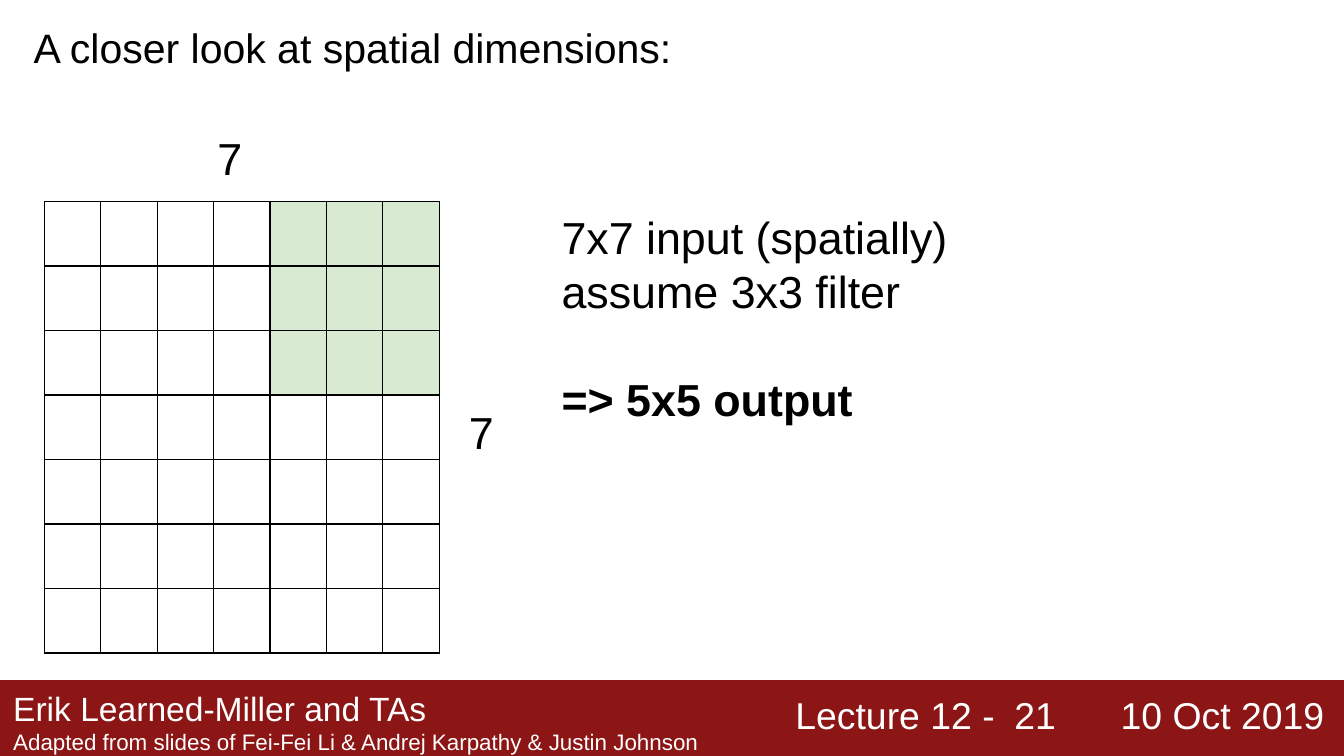
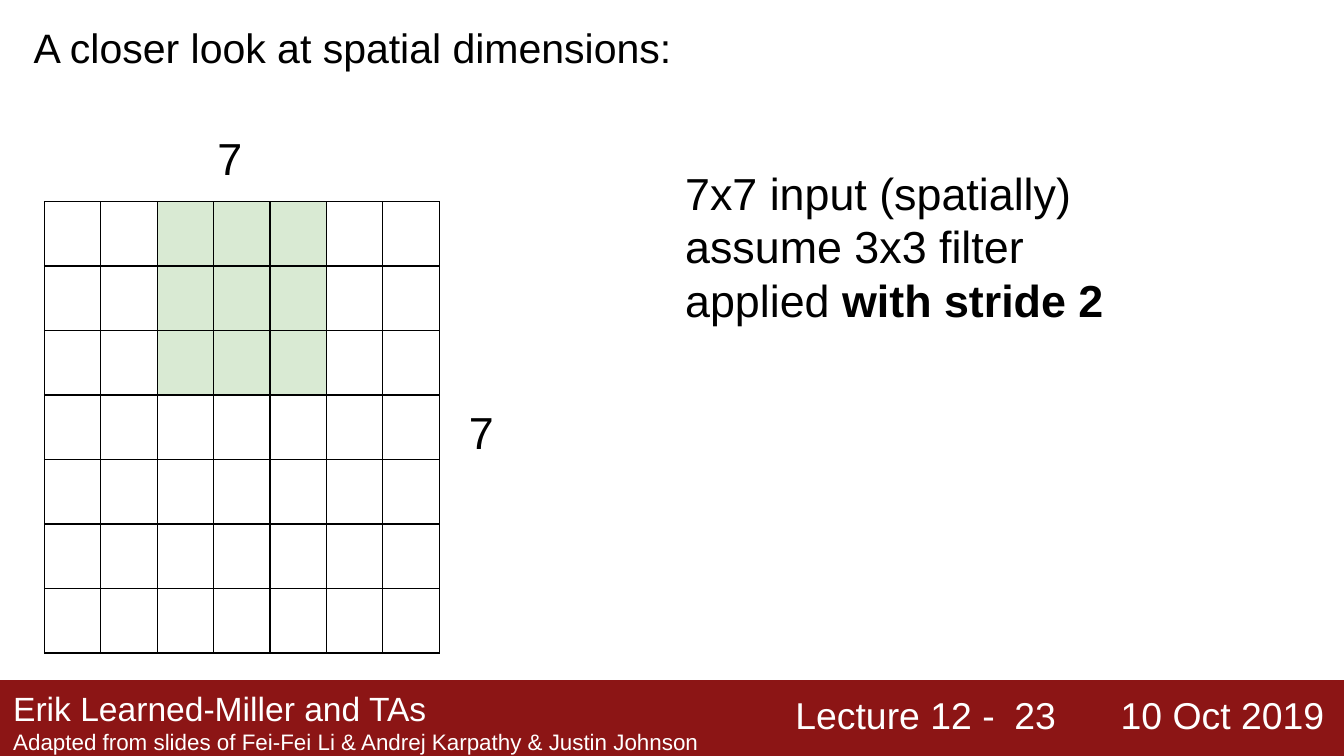
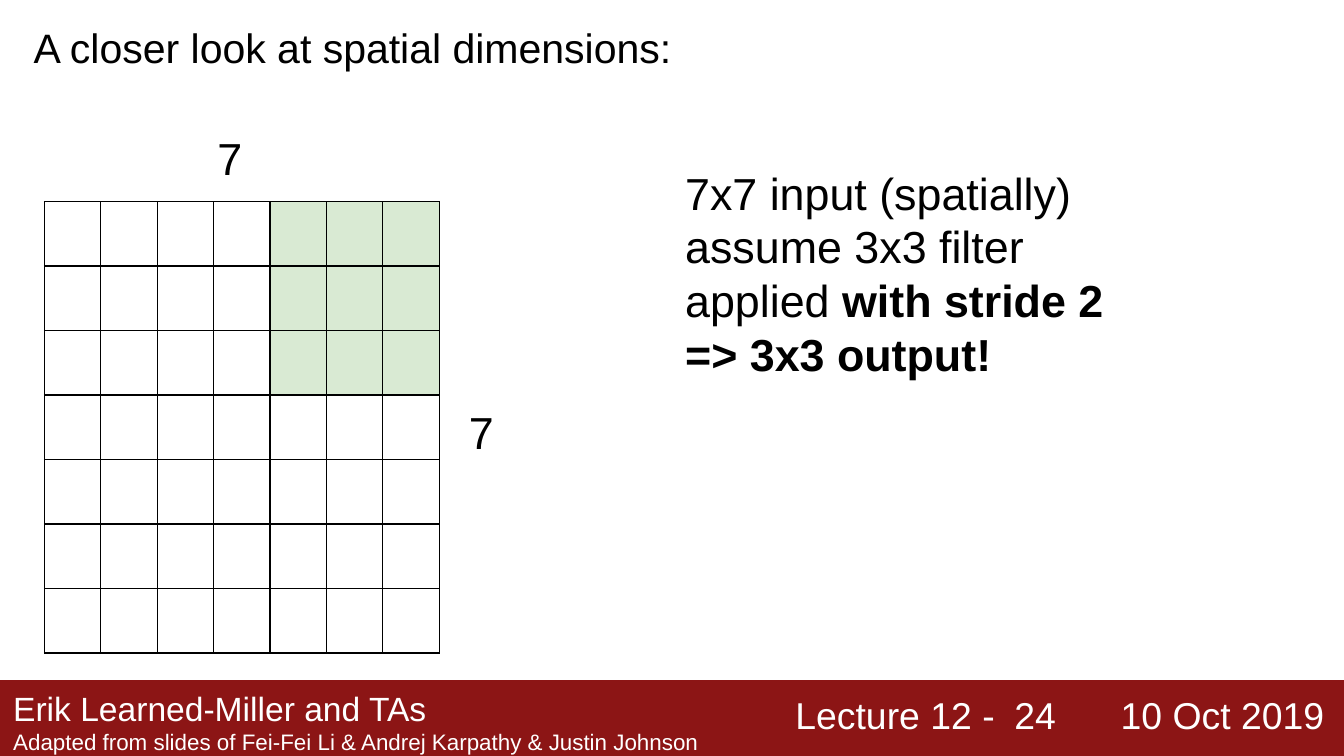
from lxml.etree import SubElement
from pptx import Presentation
from pptx.dml.color import RGBColor
from pptx.enum.shapes import MSO_SHAPE
from pptx.enum.text import MSO_ANCHOR, MSO_AUTO_SIZE, PP_ALIGN
from pptx.oxml.ns import qn
from pptx.util import Inches, Pt

CARDINAL = RGBColor(0x8C, 0x15, 0x15)
WHITE = RGBColor(0xFF, 0xFF, 0xFF)
BLACK = RGBColor(0x00, 0x00, 0x00)
FILTER_GREEN = RGBColor(0xD9, 0xEA, 0xD3)
FONT = "Arial"
GRID = 7
FILTER = 3
BLANK_LINE = Pt(29)


def add_run(paragraph, text, size, color=BLACK, bold=False):
    run = paragraph.add_run()
    run.text = text
    run.font.name = FONT
    run.font.size = Pt(size)
    run.font.bold = bold
    run.font.color.rgb = color


def add_box(slide, left, top, width, height):
    box = slide.shapes.add_textbox(Inches(left), Inches(top), Inches(width), Inches(height))
    frame = box.text_frame
    frame.word_wrap = True
    frame.margin_left = frame.margin_right = Inches(0.1)
    frame.margin_top = frame.margin_bottom = Inches(0.1)
    return frame


INPUT_LINES = [
    (0, [("7x7 input (spatially)", False)]),
    (0, [("assume 3x3 filter", False)]),
]
STRIDE_LINE = (0, [("applied ", False), ("with stride 2", True)])

SLIDES = [
    ("21", 4, (4.08, 1.46), INPUT_LINES + [(BLANK_LINE, [("=> 5x5 output", True)])]),
    ("23", 2, (5, 1.13), INPUT_LINES + [STRIDE_LINE]),
    ("24", 4, (5, 1.13), INPUT_LINES + [STRIDE_LINE, (0, [("=> 3x3 output!", True)])]),
]

prs = Presentation()
prs.slide_width = Inches(10)
prs.slide_height = prs.slide_width * 9 // 16

for number, filter_column, (notes_left, notes_top), lines in SLIDES:
    slide = prs.slides.add_slide(prs.slide_layouts[5])

    band = slide.shapes.add_shape(
        MSO_SHAPE.RECTANGLE, Inches(0), Inches(5.06), Inches(10), Inches(0.58))
    band.shadow.inherit = False
    band.fill.solid()
    band.fill.fore_color.rgb = CARDINAL
    band.line.fill.background()

    for left, text in [(5.82, "Lecture 12 -"), (8.24, "10 Oct 2019")]:
        footer = add_box(slide, left, 5.05, 3.83, 0.59)
        add_run(footer.paragraphs[0], text, 20, WHITE)

    credit = add_box(slide, 0, 5.02, 5.74, 0.59).paragraphs[0]
    add_run(credit, "Erik Learned-Miller and TAs", 18, WHITE)
    credit.add_line_break()
    add_run(credit, "Adapted from slides of Fei-Fei Li & Andrej Karpathy & Justin Johnson", 12, WHITE)

    page = add_box(slide, 7.45, 5.1, 0.84, 0.43)
    page.vertical_anchor = MSO_ANCHOR.MIDDLE
    add_run(page.paragraphs[0], number, 20, WHITE)

    title = slide.shapes.title
    title.left, title.top = Inches(0.15), Inches(0.07)
    title.width, title.height = Inches(9.16), Inches(0.66)
    heading = title.text_frame
    heading.auto_size = MSO_AUTO_SIZE.NONE
    heading.word_wrap = True
    heading.vertical_anchor = MSO_ANCHOR.TOP
    heading.margin_left = heading.margin_right = Inches(0.1)
    heading.margin_top = heading.margin_bottom = Inches(0.1)
    heading.paragraphs[0].alignment = PP_ALIGN.LEFT
    add_run(heading.paragraphs[0], "A closer look at spatial dimensions:", 22)

    for left, top, width, height in [(1.52, 0.87, 0.6, 0.5), (3.39, 2.91, 0.64, 0.31)]:
        side = add_box(slide, left, top, width, height)
        add_run(side.paragraphs[0], str(GRID), 24)

    notes = add_box(slide, notes_left, notes_top, 5.6, 2.01)
    for index, (space_before, runs) in enumerate(lines):
        line = notes.add_paragraph() if index else notes.paragraphs[0]
        if space_before:
            line.space_before = space_before
        for text, bold in runs:
            add_run(line, text, 24, bold=bold)

    grid = slide.shapes.add_table(
        GRID, GRID, Inches(0.33), Inches(1.5), Inches(0.42 * GRID), Inches(0.48 * GRID)).table
    grid.first_row = False
    grid.horz_banding = False
    for row in range(GRID):
        grid.rows[row].height = Inches(0.48)
        grid.columns[row].width = Inches(0.42)
        for column in range(GRID):
            cell = grid.cell(row, column)
            properties = cell._tc.get_or_add_tcPr()
            for edge in ("a:lnL", "a:lnR", "a:lnT", "a:lnB"):
                border = SubElement(properties, qn(edge), w=str(Pt(0.75)))
                SubElement(SubElement(border, qn("a:solidFill")), qn("a:srgbClr"), val=str(BLACK))
            if row >= FILTER:
                cell.fill.background()
                continue
            covered = filter_column <= column < filter_column + FILTER
            cell.fill.solid()
            cell.fill.fore_color.rgb = FILTER_GREEN if covered else WHITE

prs.save("out.pptx")
